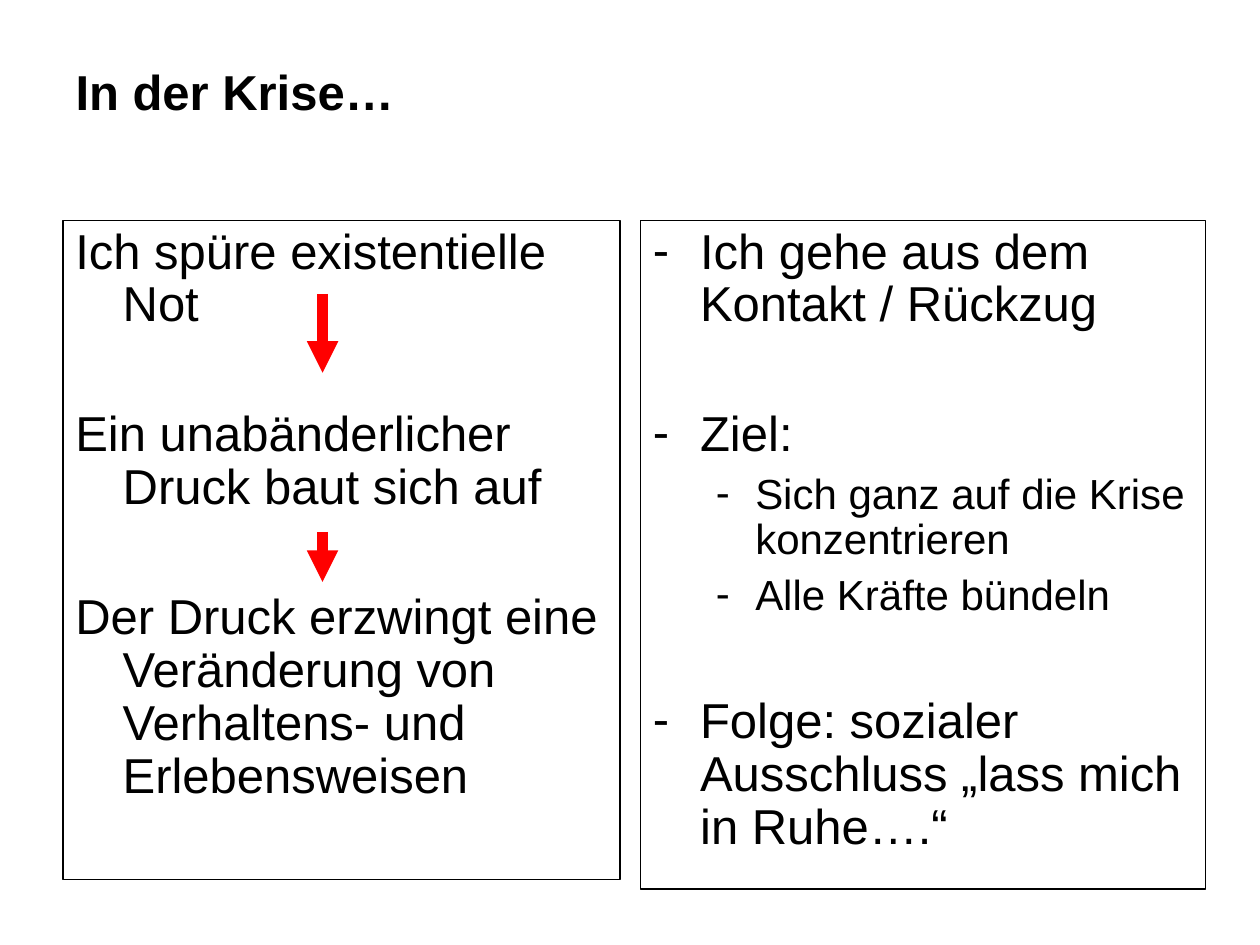
from lxml import etree
from pptx import Presentation
from pptx.dml.color import RGBColor
from pptx.enum.shapes import MSO_CONNECTOR
from pptx.enum.text import MSO_ANCHOR, PP_ALIGN
from pptx.oxml.ns import qn
from pptx.util import Pt

BLACK = RGBColor(0, 0, 0)
RED = RGBColor(255, 0, 0)
LEFT = PP_ALIGN.LEFT
MIDDLE = MSO_ANCHOR.MIDDLE
STRAIGHT = MSO_CONNECTOR.STRAIGHT
TITLE_ONLY = 5

BOX_TOP = 126
ARROW_X = 184.32
GAP = 44
LEVELS = [
    {"size": 28, "before": 7, "margin": 27, "indent": -27},
    {"size": 24, "before": 6, "margin": 58.5, "indent": -22.5},
]
FEELINGS = [
    ("Ich spüre existentielle Not", 0, False),
    ("Ein unabänderlicher Druck baut sich auf", 0, True),
    ("Der Druck erzwingt eine Veränderung von Verhaltens- und Erlebensweisen", 0, True),
]
REACTIONS = [
    ("Ich gehe aus dem Kontakt / Rückzug", 0, False),
    ("Ziel:", 0, True),
    ("Sich ganz auf die Krise konzentrieren", 1, False),
    ("Alle Kräfte bündeln", 1, False),
    ("Folge: sozialer Ausschluss „lass mich in Ruhe….“", 0, True),
]


def set_format(target, values):
    """Set each attribute of the target from the format values."""
    for name, value in values.items():
        setattr(target, name, value)


def format_font(font, size, bold=False):
    """Apply the black Arial face of the slide."""
    set_format(font, {"name": "Arial", "size": Pt(size), "bold": bold})
    font.color.rgb = BLACK


def add_title(slide, text):
    """Place and fill the title placeholder."""
    title = slide.shapes.title
    set_format(title, {"left": Pt(36), "top": Pt(21.6), "width": Pt(648), "height": Pt(61.2)})
    title.text_frame.vertical_anchor = MIDDLE
    paragraph = title.text_frame.paragraphs[0]
    paragraph.text = text
    paragraph.alignment = LEFT
    format_font(paragraph.runs[0].font, 28, True)


def format_paragraph(paragraph, level, gap_before, bulleted):
    """Apply spacing, hanging indent and an optional dash bullet."""
    style = LEVELS[level]
    set_format(paragraph, {
        "level": level,
        "alignment": LEFT,
        "line_spacing": 0.9,
        "space_before": Pt(GAP if gap_before else style["before"]),
    })
    properties = paragraph._p.get_or_add_pPr()
    properties.set("marL", str(Pt(style["margin"])))
    properties.set("indent", str(Pt(style["indent"])))
    if bulleted:
        color = etree.SubElement(properties, qn("a:buClr"))
        etree.SubElement(color, qn("a:srgbClr"), val=str(BLACK))
        etree.SubElement(properties, qn("a:buFont"), typeface="Arial")
        etree.SubElement(properties, qn("a:buChar"), char="-")


def add_text_panel(slide, left, width, height, entries, bulleted=False):
    """Add an outlined text panel with one paragraph per entry."""
    panel = slide.shapes.add_textbox(Pt(left), Pt(BOX_TOP), Pt(width), Pt(height))
    panel.line.color.rgb = BLACK
    panel.line.width = Pt(0.75)
    frame = panel.text_frame
    frame.word_wrap = True
    for index, (text, level, gap_before) in enumerate(entries):
        paragraph = frame.add_paragraph() if index else frame.paragraphs[0]
        paragraph.text = text
        format_paragraph(paragraph, level, gap_before, bulleted)
        format_font(paragraph.runs[0].font, LEVELS[level]["size"])


def add_down_arrow(slide, top, bottom):
    """Add a thick red arrow pointing down."""
    arrow = slide.shapes.add_connector(STRAIGHT, Pt(ARROW_X), Pt(top), Pt(ARROW_X), Pt(bottom))
    arrow.line.color.rgb = RED
    arrow.line.width = Pt(6)
    etree.SubElement(arrow.line._get_or_add_ln(), qn("a:tailEnd"), type="triangle")
    etree.SubElement(arrow._element.spPr, qn("a:effectLst"))


def main():
    """Build the slide and save the presentation."""
    presentation = Presentation()
    set_format(presentation, {"slide_width": Pt(720), "slide_height": Pt(540)})
    slide = presentation.slides.add_slide(presentation.slide_layouts[TITLE_ONLY])
    add_title(slide, "In der Krise…")
    add_text_panel(slide, 36, 318.25, 376.5, FEELINGS)
    add_text_panel(slide, 366, 322.75, 382, REACTIONS, bulleted=True)
    add_down_arrow(slide, 168, 213)
    add_down_arrow(slide, 304, 332.5)
    presentation.save("out.pptx")


if __name__ == "__main__":
    main()
